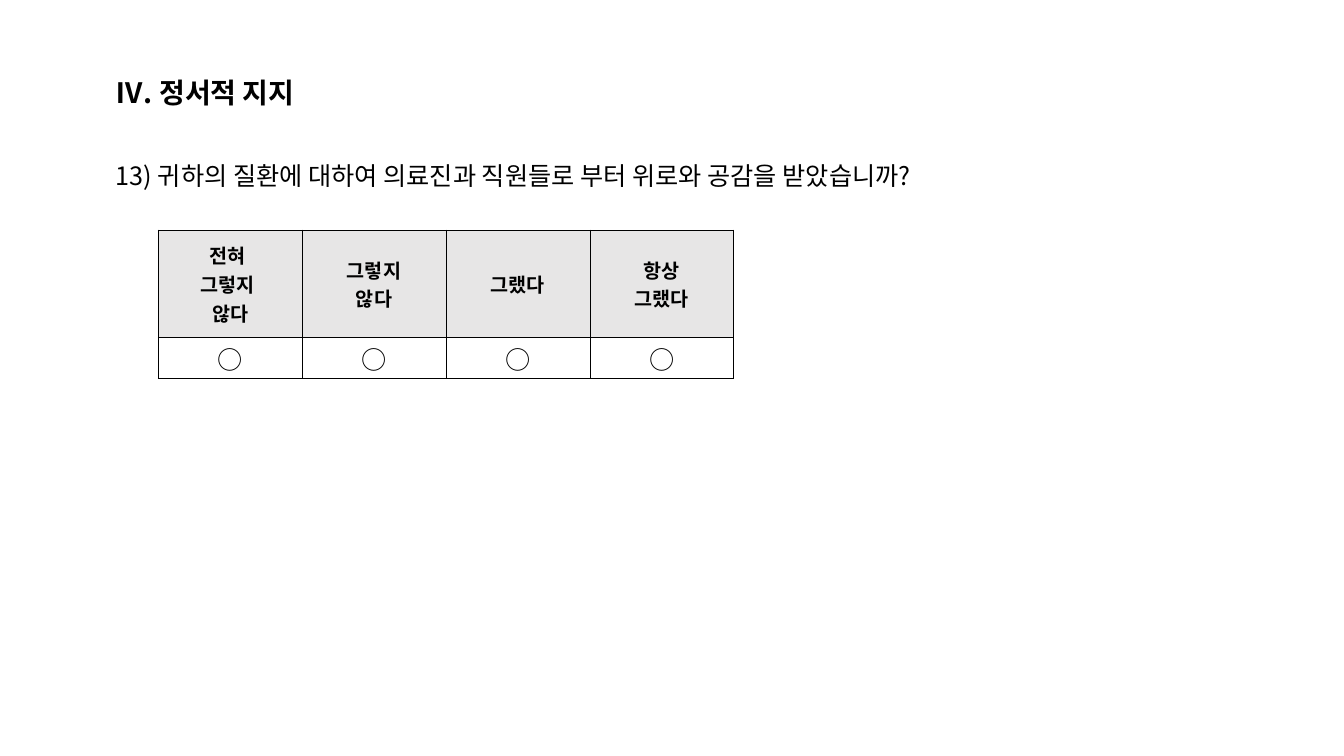
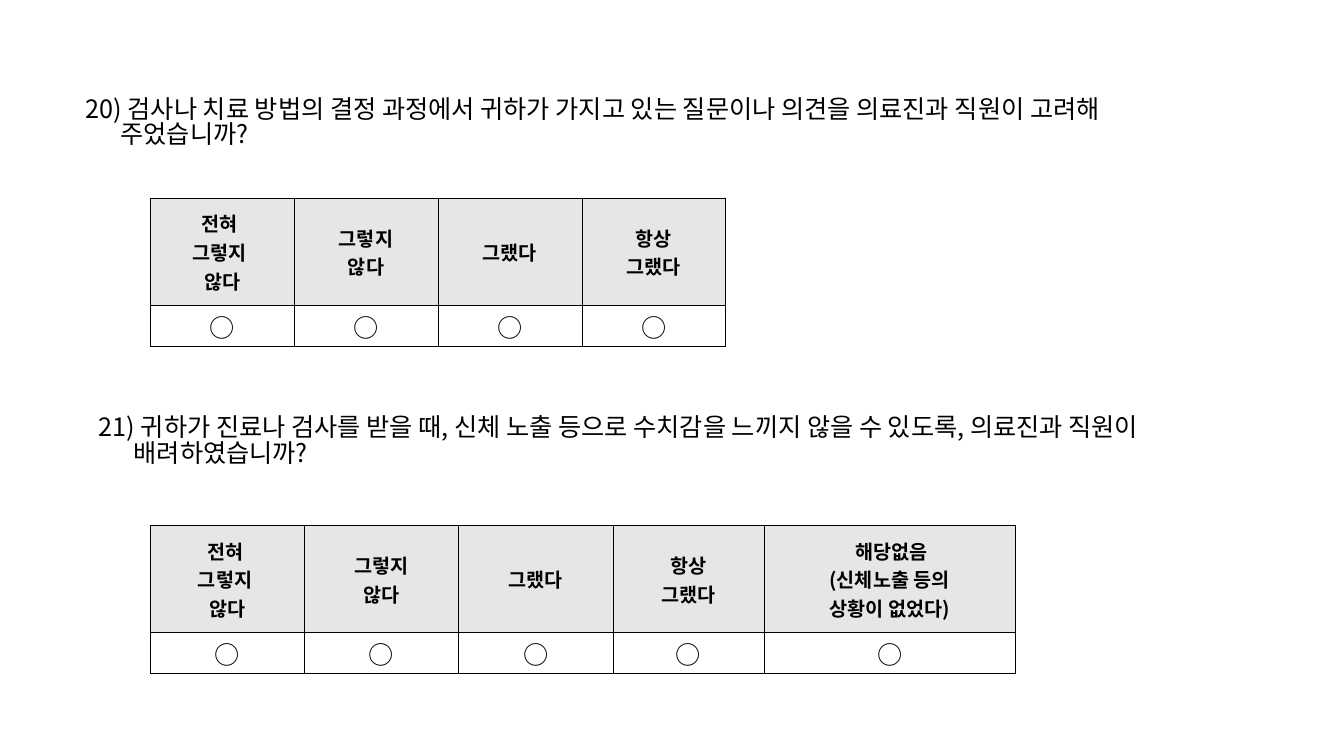
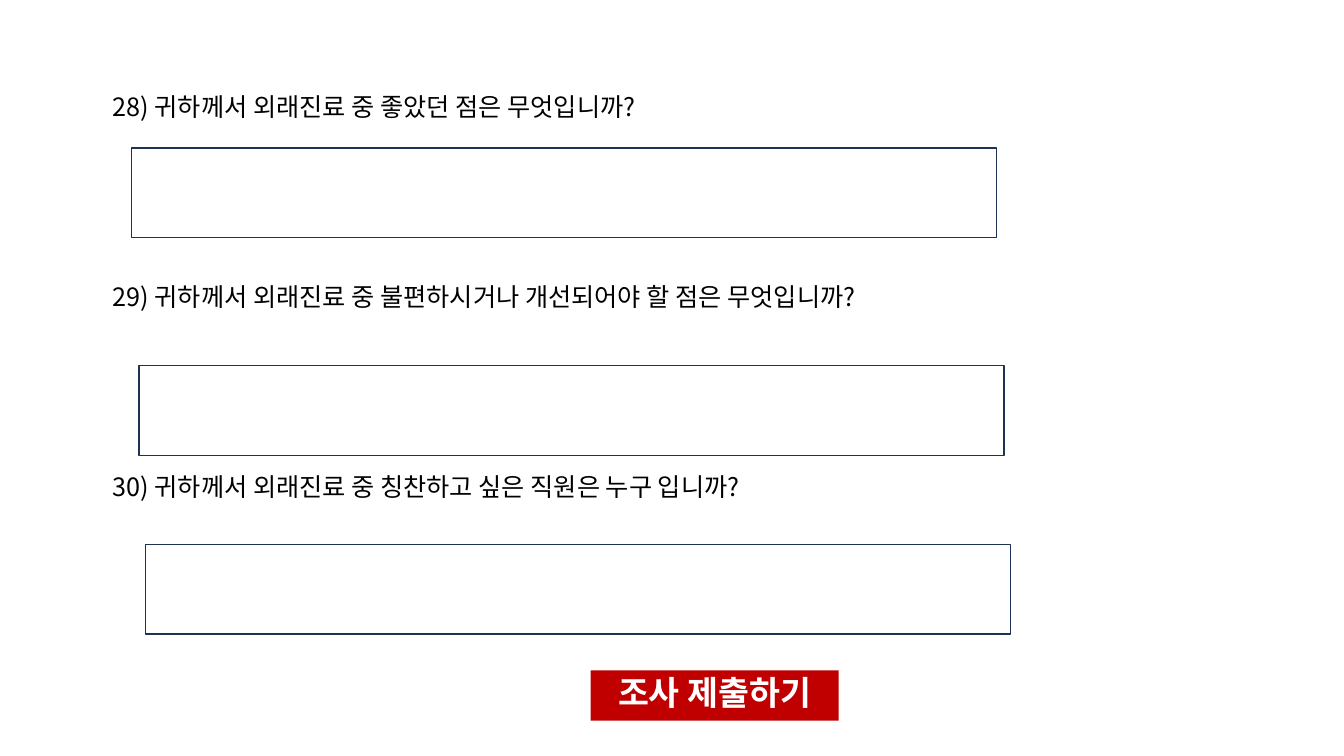
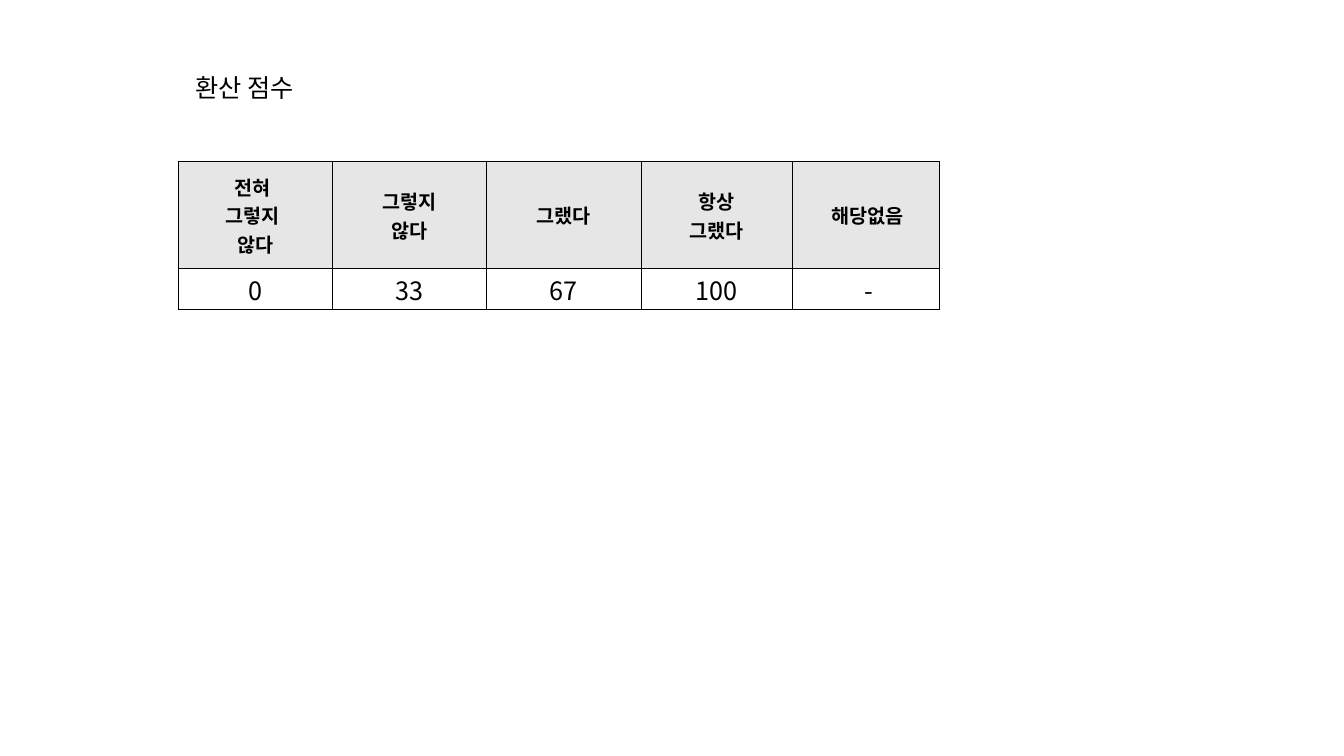
import pptx
import pptx.dml.color
import pptx.enum.shapes
import pptx.enum.text
import pptx.oxml.ns
import pptx.util
from lxml import etree

Pt = pptx.util.Pt
qn = pptx.oxml.ns.qn
ALIGN = pptx.enum.text.PP_ALIGN
ANCHOR = pptx.enum.text.MSO_ANCHOR

THEME = {
    "font": "Noto Sans CJK KR",
    "black": "000000",
    "white": "FFFFFF",
    "header": "E7E6E6",
    "answer_line": "1E3256",
    "button": "C00000",
    "box_spacing": 0.85,
    "cell_margin": 0.72,
    "border": 0.5,
    "hanging": 25,
    "row_heights": (76.4, 29.5),
}
STYLES = {
    "heading": {"size": 20, "bold": True, "color": "black"},
    "body": {"size": 18, "bold": False, "color": "black"},
    "scale": {"size": 14, "bold": True, "color": "black"},
    "button": {"size": 24, "bold": True, "color": "white"},
}

SCALE = ["전혀 \n그렇지 \n않다", "그렇지\n않다", "그랬다", "항상\n그랬다"]
FOUR_COLUMNS = [102.8] * 4
FIVE_COLUMNS = [110.2] * 3 + [108]
CHOICE = "○"

SLIDES = [
    {
        "texts": [
            (75.6, 54, 155.5, "heading", ["Ⅳ. 정서적 지지"]),
            (75.6, 114.5, 651.6, "body",
             ["13) 귀하의 질환에 대하여 의료진과 직원들로 부터 위로와 공감을 받았습니까?"]),
        ],
        "tables": [(113, 164.3, FOUR_COLUMNS, SCALE, [CHOICE] * 4)],
    },
    {
        "texts": [
            (54, 66.2, 838.8, "body",
             ["20) 검사나 치료 방법의 결정 과정에서 귀하가 가지고 있는 질문이나 의견을 의료진과 직원이 고려해",
              "주었습니까?"]),
            (63.4, 293.8, 855.4, "body",
             ["21) 귀하가 진료나 검사를 받을 때, 신체 노출 등으로 수치감을 느끼지 않을 수 있도록, 의료진과 직원이",
              "배려하였습니까?"]),
        ],
        "tables": [
            (107.3, 141.4, FOUR_COLUMNS, SCALE, [CHOICE] * 4),
            (107.3, 375.3, FIVE_COLUMNS + [179.3],
             SCALE + [" 해당없음\n(신체노출 등의\n상황이 없었다)"], [CHOICE] * 5),
        ],
    },
    {
        "texts": [
            (73.4, 64.8, 581, "body", ["28) 귀하께서 외래진료 중 좋았던 점은 무엇입니까?"]),
            (73.4, 200.6, 696.2, "body",
             ["29) 귀하께서 외래진료 중 불편하시거나 개선되어야 할 점은 무엇입니까?"]),
            (73.4, 336.2, 708.5, "body",
             ["30) 귀하께서 외래진료 중 칭찬하고 싶은 직원은 누구 입니까?"]),
        ],
        "answers": [(94, 105.8), (99.4, 261.2), (103.9, 388.8)],
        "button": "조사 제출하기",
    },
    {
        "texts": [(132.5, 51.1, 93.6, "body", ["환산 점수"])],
        "tables": [(127.2, 115.2, FIVE_COLUMNS + [105.2],
                    SCALE + [" 해당없음"], ["0", "33", "67", "100", " -"])],
    },
]


def color(name):
    return pptx.dml.color.RGBColor.from_string(THEME[name])


def set_attributes(target, values):
    for name, value in values.items():
        setattr(target, name, value)


def write_paragraph(paragraph, text, style_name, values):
    style = STYLES[style_name]
    paragraph.text = text
    set_attributes(paragraph, values)
    for run in paragraph.runs:
        set_attributes(run.font, {
            "size": Pt(style["size"]), "bold": style["bold"], "name": THEME["font"]})
        run.font.color.rgb = color(style["color"])
        etree.SubElement(run.font._element, qn("a:ea"), typeface=THEME["font"])
    for line_break in paragraph._p.findall(qn("a:br")):
        etree.SubElement(line_break, qn("a:rPr"), sz=str(style["size"] * 100))


def add_text(slide, left, top, width, style_name, lines):
    height = 7.2 + 1.22 * STYLES[style_name]["size"] * len(lines)
    frame = slide.shapes.add_textbox(Pt(left), Pt(top), Pt(width), Pt(height)).text_frame
    frame.word_wrap = True
    for index, line in enumerate(lines):
        paragraph = frame.add_paragraph() if index else frame.paragraphs[0]
        write_paragraph(paragraph, line, style_name, {"line_spacing": THEME["box_spacing"]})
        if index:
            paragraph._p.get_or_add_pPr().set("marL", str(Pt(THEME["hanging"])))


def add_borders(cell):
    properties = cell._tc.get_or_add_tcPr()
    for side in ("a:lnL", "a:lnR", "a:lnT", "a:lnB"):
        line = etree.SubElement(properties, qn(side), w=str(Pt(THEME["border"])))
        fill = etree.SubElement(line, qn("a:solidFill"))
        etree.SubElement(fill, qn("a:srgbClr"), val=THEME["black"])


def add_scale_table(slide, left, top, widths, headers, choices):
    heights = THEME["row_heights"]
    table = slide.shapes.add_table(
        len(heights), len(widths), Pt(left), Pt(top), Pt(sum(widths)), Pt(sum(heights))).table
    for column, width in zip(table.columns, widths):
        column.width = Pt(width)
    margin = Pt(THEME["cell_margin"])
    rows = [(headers, "scale", "header"), (choices, "body", "white")]
    for row_index, (texts, style_name, fill) in enumerate(rows):
        table.rows[row_index].height = Pt(heights[row_index])
        for column_index, text in enumerate(texts):
            cell = table.cell(row_index, column_index)
            set_attributes(cell, {
                "margin_left": margin, "margin_right": margin, "margin_top": margin,
                "margin_bottom": 0, "vertical_anchor": ANCHOR.MIDDLE})
            add_borders(cell)
            cell.fill.solid()
            cell.fill.fore_color.rgb = color(fill)
            write_paragraph(cell.text_frame.paragraphs[0], text, style_name,
                            {"alignment": ALIGN.CENTER})


def add_rectangle(slide, left, top, width, height):
    shape = slide.shapes.add_shape(
        pptx.enum.shapes.MSO_SHAPE.RECTANGLE, Pt(left), Pt(top), Pt(width), Pt(height))
    shape.shadow.inherit = False
    return shape


def add_answer_box(slide, left, top):
    shape = add_rectangle(slide, left, top, 617.8, 64.1)
    shape.fill.background()
    shape.line.color.rgb = color("answer_line")
    shape.line.width = Pt(1)


def add_button(slide, text):
    shape = add_rectangle(slide, 421.9, 478.8, 177.1, 36)
    shape.fill.solid()
    shape.fill.fore_color.rgb = color("button")
    shape.line.fill.background()
    set_attributes(shape.text_frame, {"word_wrap": True, "vertical_anchor": ANCHOR.MIDDLE})
    write_paragraph(shape.text_frame.paragraphs[0], text, "button",
                    {"alignment": ALIGN.CENTER, "line_spacing": THEME["box_spacing"]})


def main():
    presentation = pptx.Presentation()
    set_attributes(presentation, {"slide_width": Pt(960), "slide_height": Pt(540)})
    for content in SLIDES:
        slide = presentation.slides.add_slide(presentation.slide_layouts[6])
        for text in content["texts"]:
            add_text(slide, *text)
        for table in content.get("tables", []):
            add_scale_table(slide, *table)
        for position in content.get("answers", []):
            add_answer_box(slide, *position)
        if "button" in content:
            add_button(slide, content["button"])
    presentation.save("out.pptx")


if __name__ == "__main__":
    main()
